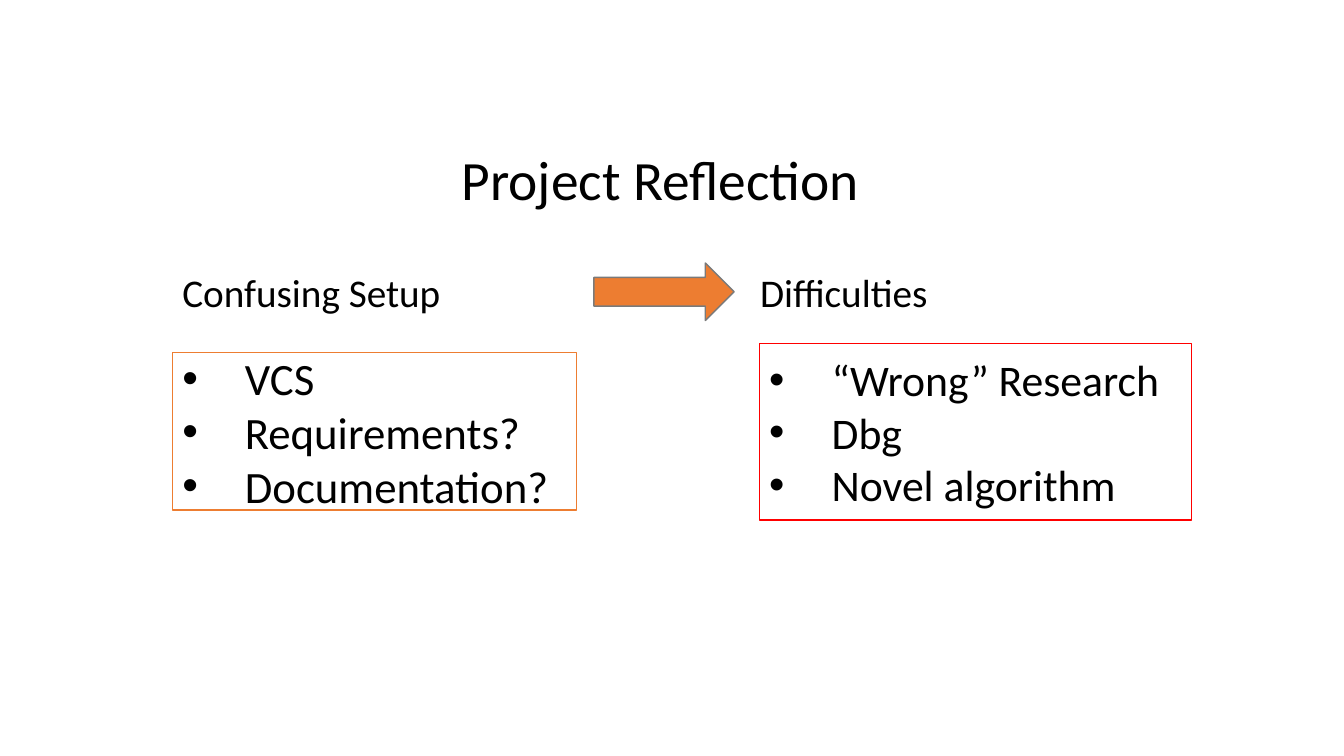
from dataclasses import dataclass

import pptx
import pptx.dml.color
import pptx.enum.shapes
import pptx.enum.text
import pptx.oxml
import pptx.oxml.ns
import pptx.shapes.autoshape
import pptx.slide
import pptx.text.text
import pptx.util

Inches = pptx.util.Inches
Pt = pptx.util.Pt
MSO_SHAPE = pptx.enum.shapes.MSO_SHAPE
MSO_ANCHOR = pptx.enum.text.MSO_ANCHOR
PP_ALIGN = pptx.enum.text.PP_ALIGN

FONT = "Calibri"
BLACK = "000000"
WHITE = "FFFFFF"
ORANGE = "ED7D31"
RED = "FF0000"
GRAY = "7A7A7A"

HEADING_TOP = 2.61
HEADING_HEIGHT = 0.57
BULLET_INDENT = 0.62


@dataclass
class Box:
    left: float
    top: float
    width: float
    height: float

    def lengths(self) -> tuple:
        return tuple(Inches(value) for value in (self.left, self.top, self.width, self.height))


@dataclass
class Topic:
    heading: str
    heading_left: float
    points: list[str]
    box: Box
    outline: str
    size: float


TOPICS = [
    Topic("Confusing Setup", 1.71, ["VCS", "Requirements?", "Documentation?"],
          Box(1.71, 3.5, 4.01, 1.56), ORANGE, 32),
    Topic("Difficulties", 7.44, ["“Wrong” Research", "Dbg", "Novel algorithm"],
          Box(7.53, 3.41, 4.29, 1.75), RED, 31.2),
]


def color(value: str) -> pptx.dml.color.RGBColor:
    return pptx.dml.color.RGBColor.from_string(value)


def write(paragraph: pptx.text.text._Paragraph, text: str, size: float) -> None:
    paragraph.text = text
    paragraph.font.name = FONT
    paragraph.font.size = Pt(size)
    paragraph.font.color.rgb = color(BLACK)


def add_bullet(paragraph: pptx.text.text._Paragraph) -> None:
    """Give the paragraph a hanging round bullet."""
    properties = paragraph._p.get_or_add_pPr()
    properties.set("marL", str(Inches(BULLET_INDENT)))
    properties.set("indent", str(-Inches(BULLET_INDENT)))
    for tag, name, value in (("a:buFont", "typeface", "Arial"), ("a:buChar", "char", "•")):
        element = pptx.oxml.parse_xml(f"<{tag} {pptx.oxml.ns.nsdecls('a')} {name}=\"{value}\"/>")
        properties.append(element)


def add_label(slide: pptx.slide.Slide, box: Box, text: str,
              size: float) -> pptx.text.text.TextFrame:
    frame = slide.shapes.add_textbox(*box.lengths()).text_frame
    frame.word_wrap = True
    write(frame.paragraphs[0], text, size)
    return frame


def add_outlined_shape(slide: pptx.slide.Slide, kind: MSO_SHAPE, box: Box, fill: str,
                       outline: str) -> pptx.shapes.autoshape.Shape:
    shape = slide.shapes.add_shape(kind, *box.lengths())
    shape.shadow.inherit = False
    shape.fill.solid()
    shape.fill.fore_color.rgb = color(fill)
    shape.line.color.rgb = color(outline)
    shape.line.width = Pt(1)
    return shape


def add_topic(slide: pptx.slide.Slide, topic: Topic) -> None:
    """Draw a heading and its outlined bullet list."""
    heading_box = Box(topic.heading_left, HEADING_TOP, 4.1, HEADING_HEIGHT)
    add_label(slide, heading_box, topic.heading, 28)
    shape = add_outlined_shape(slide, MSO_SHAPE.RECTANGLE, topic.box, WHITE, topic.outline)
    frame = shape.text_frame
    frame.word_wrap = True
    frame.vertical_anchor = MSO_ANCHOR.MIDDLE
    for index, point in enumerate(topic.points):
        paragraph = frame.add_paragraph() if index else frame.paragraphs[0]
        write(paragraph, point, topic.size)
        paragraph.alignment = PP_ALIGN.LEFT
        add_bullet(paragraph)


def main() -> None:
    presentation = pptx.Presentation()
    presentation.slide_width = Inches(13.33)
    presentation.slide_height = Inches(7.5)
    slide = presentation.slides.add_slide(presentation.slide_layouts[6])

    title = add_label(slide, Box(0.64, 1.15, 11.82, 0.9), "Project Reflection", 39.6)
    title.vertical_anchor = MSO_ANCHOR.MIDDLE
    title.paragraphs[0].alignment = PP_ALIGN.CENTER
    title.paragraphs[0].line_spacing = 1.5

    for topic in TOPICS:
        add_topic(slide, topic)
    arrow_box = Box(5.89, HEADING_TOP, 1.39, HEADING_HEIGHT)
    add_outlined_shape(slide, MSO_SHAPE.RIGHT_ARROW, arrow_box, ORANGE, GRAY)

    presentation.save("out.pptx")


if __name__ == "__main__":
    main()
